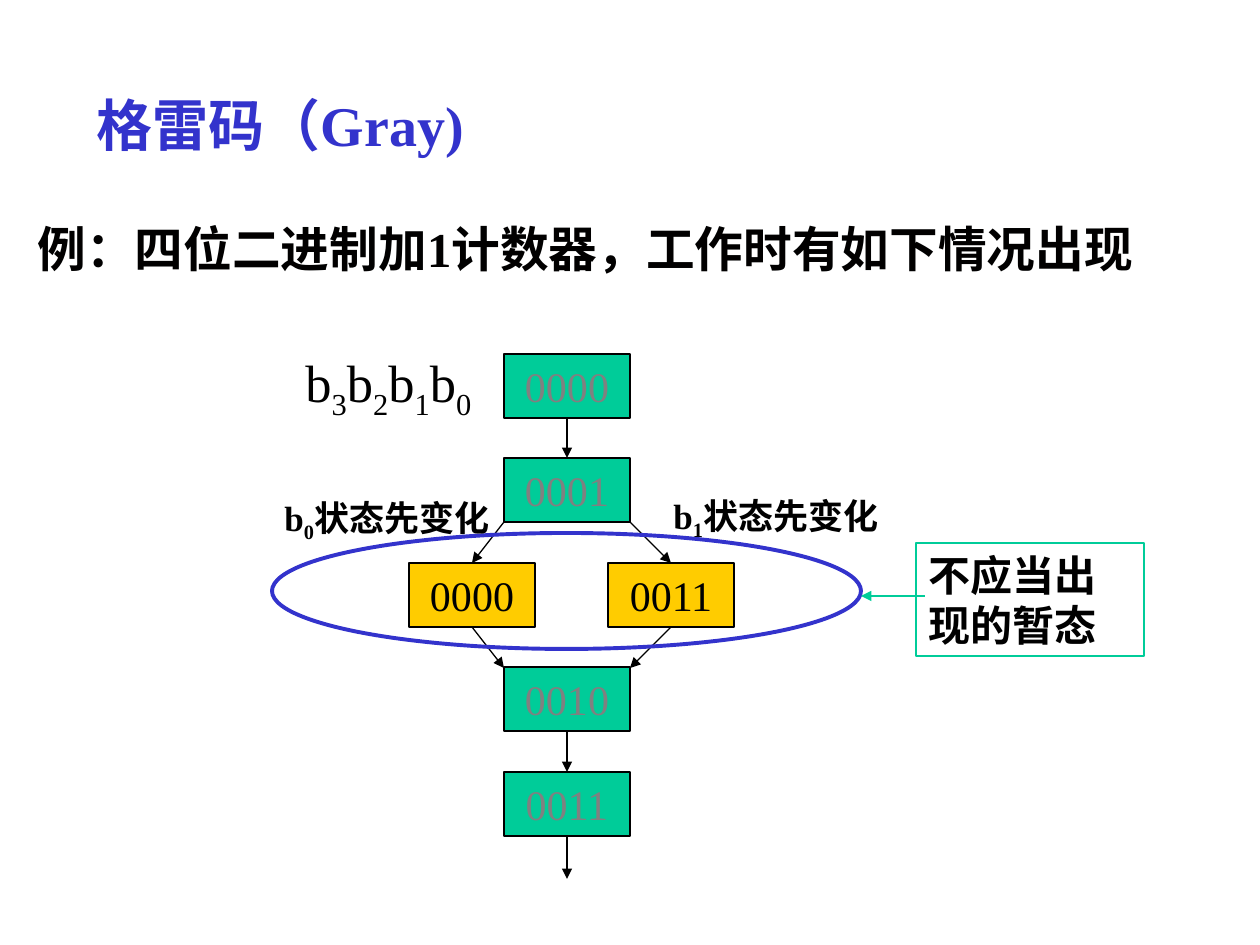
from lxml.etree import SubElement
from pptx import Presentation
from pptx.dml.color import RGBColor
from pptx.enum.shapes import MSO_CONNECTOR, MSO_SHAPE
from pptx.enum.text import MSO_ANCHOR, PP_ALIGN
from pptx.oxml.ns import qn
from pptx.util import Emu, Pt

EMU_PER_PX = 914400 / 126
FONT = "Times New Roman"
BLACK, BLUE, GREEN, YELLOW, GRAY = "000000", "3333CC", "00CC99", "FFCC00", "808080"


def px(length):
    return Emu(round(length * EMU_PER_PX))


def color(value):
    return RGBColor.from_string(value)


def write(frame, pieces, size, ink=BLACK, bold=False, align=PP_ALIGN.LEFT, anchor=MSO_ANCHOR.TOP):
    frame.word_wrap = True
    frame.vertical_anchor = anchor
    paragraph = frame.paragraphs[0]
    paragraph.alignment = align
    paragraph.space_before = Pt(0)
    for words, lowered in pieces:
        run = paragraph.add_run()
        run.text = words
        run.font.name = FONT
        run.font.size = Pt(size)
        run.font.bold = bold
        run.font.color.rgb = color(ink)
        if lowered:
            run.font._element.set("baseline", "-25000")
    return paragraph


def add_label(slide, box, pieces, size, ink=BLACK, bold=False):
    label = slide.shapes.add_textbox(*map(px, box))
    return write(label.text_frame, pieces, size, ink, bold)


def add_outline(slide, kind, box, line, width=0.75, fill=None):
    outline = slide.shapes.add_shape(kind, *map(px, box))
    outline.shadow.inherit = False
    if fill:
        outline.fill.solid()
        outline.fill.fore_color.rgb = color(fill)
    else:
        outline.fill.background()
    outline.line.color.rgb = color(line)
    outline.line.width = Pt(width)
    return outline


def add_state(slide, left, top, bits, fill, ink):
    state = add_outline(slide, MSO_SHAPE.RECTANGLE, (left, top, 126, 64), BLACK, fill=fill)
    write(state.text_frame, [(bits, False)], 24, ink, align=PP_ALIGN.CENTER)
    return state


def add_arrow(slide, start, end, line=BLACK, tip="a:tailEnd"):
    arrow = slide.shapes.add_connector(MSO_CONNECTOR.STRAIGHT, *map(px, start + end))
    arrow.line.color.rgb = color(line)
    arrow.line.width = Pt(0.75)
    SubElement(arrow.line._get_or_add_ln(), qn(tip), type="triangle")
    SubElement(arrow._element.spPr, qn("a:effectLst"))
    return arrow


def add_heading(slide, left, top, width, height):
    title = slide.shapes.title
    title.left, title.top, title.width, title.height = map(px, (left, top, width, height))
    write(title.text_frame, [("格雷码（Gray)", False)], 32, BLUE, True, anchor=MSO_ANCHOR.MIDDLE)


def add_example(slide, left, top, width, height):
    sentence = "例：四位二进制加1计数器，工作时有如下情况出现"
    example = add_label(slide, (left, top, width, height), [(sentence, False)], 27.8, "010000", True)
    example.line_spacing = 0.8


def add_counter_flow(slide, left, top):
    middle = left + 295
    row_tops = [top + 418 * row // 4 for row in range(5)]
    main = {
        row: add_state(slide, middle - 63, row_tops[row], bits, GREEN, GRAY)
        for row, bits in ((0, "0000"), (1, "0001"), (3, "0010"), (4, "0011"))
    }
    for upper, lower in ((0, 1), (3, 4)):
        step = add_arrow(slide, (middle, row_tops[upper] + 64), (middle, row_tops[lower]))
        step.begin_connect(main[upper], 2)
        step.end_connect(main[lower], 0)
    exit_arrow = add_arrow(slide, (middle, row_tops[4] + 64), (middle, row_tops[4] + 107))
    exit_arrow.begin_connect(main[4], 2)

    for center, corner, bits in ((left + 200, middle - 63, "0000"), (left + 399, middle + 63, "0011")):
        transient = add_state(slide, center - 63, row_tops[2], bits, YELLOW, BLACK)
        branch = add_arrow(slide, (corner, row_tops[1] + 64), (center, row_tops[2]))
        branch.end_connect(transient, 0)
        merge = add_arrow(slide, (center, row_tops[2] + 64), (corner, row_tops[3] + 1))
        merge.begin_connect(transient, 2)

    add_outline(slide, MSO_SHAPE.OVAL, (left, top + 179, 589, 116), BLUE, 2.25)
    bit_names = [piece for bit in "3210" for piece in (("b", False), (bit, True))]
    add_label(slide, (left + 21, top - 10, 242, 84), bit_names, 30)
    for label_left, label_top, bit in ((left, top + 136, "0"), (left + 389, top + 134, "1")):
        pieces = [("b", False), (bit, True), ("状态先变化", False)]
        add_label(slide, (label_left, label_top, 273, 60), pieces, 20, bold=True)


def add_warning(slide, left, top, width, height):
    warning = add_outline(slide, MSO_SHAPE.RECTANGLE, (left, top, width, height), GREEN)
    write(warning.text_frame, [("不应当出现的暂态", False)], 24, bold=True)
    add_arrow(slide, (left - 55, top + 53), (left + 9, top + 53), GREEN, "a:headEnd")


def main():
    presentation = Presentation()
    presentation.slide_width, presentation.slide_height = px(1260), px(945)
    slide = presentation.slides.add_slide(presentation.slide_layouts[5])
    add_heading(slide, 84, 45, 1071, 158)
    add_example(slide, 25, 224, 1207, 78)
    add_counter_flow(slide, 272, 354)
    add_warning(slide, 916, 543, 228, 113)
    presentation.save("out.pptx")


if __name__ == "__main__":
    main()
